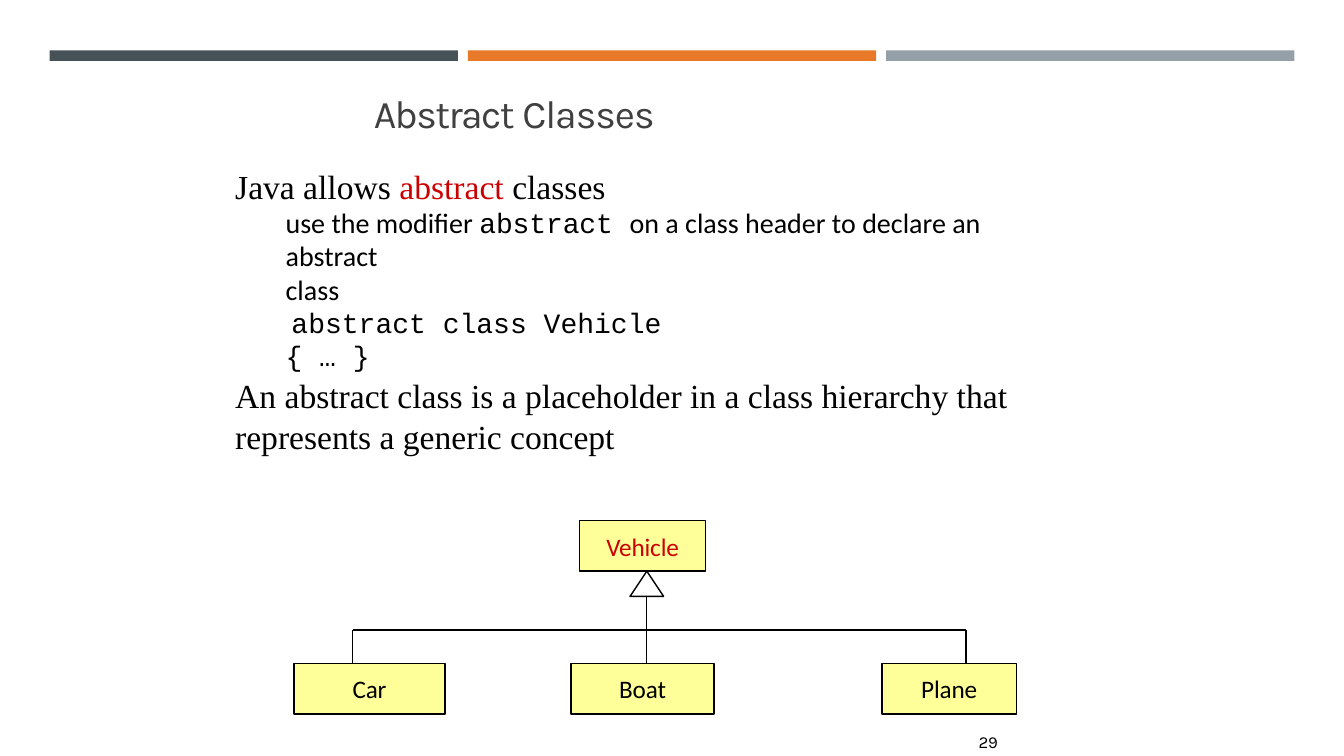
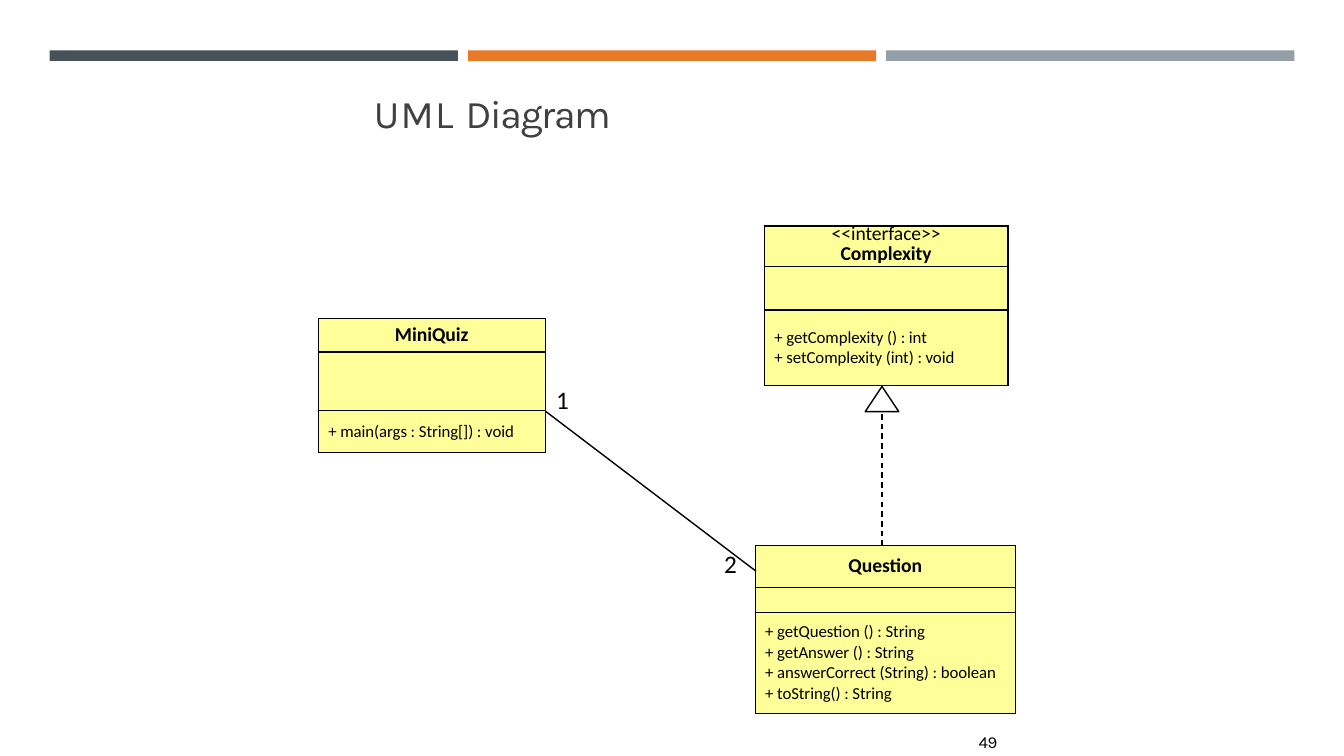
import dataclasses

import lxml.etree
import pptx
import pptx.dml.color
import pptx.enum.dml
import pptx.enum.shapes
import pptx.enum.text
import pptx.oxml.ns
import pptx.util


@dataclasses.dataclass(frozen=True)
class Theme:
    ink: str = "000000"
    accent: str = "CC0000"
    paper: str = "FFFFFF"
    node: str = "FFFF99"
    heading: str = "404040"
    bands: tuple = ("465257", "E77929", "949FA7")
    title_size: int = 28
    lead_size: int = 24
    detail_size: int = 20
    label_size: int = 18
    name_size: int = 14
    small_size: int = 12
    line_width: int = 1


theme = Theme()
qn = pptx.oxml.ns.qn
rgb = pptx.dml.color.RGBColor.from_string
points = pptx.util.Pt
shapes_enum = pptx.enum.shapes
align = pptx.enum.text.PP_ALIGN
anchor = pptx.enum.text.MSO_ANCHOR

deck = pptx.Presentation()
deck.slide_width = pptx.util.Inches(13.333)
deck.slide_height = pptx.util.Inches(7.5)
columns, rows = 160, 90


def grid(left, top, width, height):
    column = deck.slide_width / columns
    row = deck.slide_height / rows
    return [round(n) for n in (left * column, top * row, width * column, height * row)]


def add_runs(para, runs, font, size):
    for text, *style in runs:
        color, spacing, bold, face = (*style, *(theme.ink, 0, False, font)[len(style):])
        span = para.add_run()
        span.text = text
        span.font.name = face
        span.font.size = points(size)
        span.font.bold = bold
        span.font.color.rgb = rgb(color)
        if spacing:
            span._r.get_or_add_rPr().set("spc", str(round(spacing * 100)))


master = deck.slide_master
title_area = master.placeholders[0]
title_area.left, title_area.top, title_area.width, title_area.height = grid(5.4, 8.2, 140, 11.5)
frame = title_area.text_frame
frame.auto_size = pptx.enum.text.MSO_AUTO_SIZE.NONE
frame.vertical_anchor = anchor.TOP
frame.margin_left, frame.margin_top, frame.margin_right, frame.margin_bottom = grid(39.1, 2.4, 0, 0)

classes_slide = deck.slides.add_slide(deck.slide_layouts[1])
uml_slide = deck.slides.add_slide(deck.slide_layouts[5])

for index, color in enumerate(theme.bands):
    band = classes_slide.shapes.add_shape(
        shapes_enum.MSO_SHAPE.RECTANGLE, *grid(5.9 + index * 49.8, 6, 48.6, 1.25))
    band.shadow.inherit = False
    band.fill.solid()
    band.fill.fore_color.rgb = rgb(color)
    band.line.fill.background()
    master.shapes.element.append(band.element)

titles = [
    (classes_slide, [("Abstract ", theme.heading, -1.1), ("Classes", theme.heading, -0.7)]),
    (uml_slide, [("UML ", theme.heading, 1), ("Diagram", theme.heading, -1)]),
]
for slide, runs in titles:
    para = slide.shapes.title.text_frame.paragraphs[0]
    para.alignment = align.LEFT
    add_runs(para, runs, "Karla", theme.title_size)

body = classes_slide.placeholders[1]
body.left, body.top, body.width, body.height = grid(27.9, 19.9, 95, 30.7)
frame = body.text_frame
frame.auto_size = pptx.enum.text.MSO_AUTO_SIZE.NONE
frame.margin_left = frame.margin_top = frame.margin_right = frame.margin_bottom = 0
lead = ("Times New Roman", theme.lead_size)
detail = ("Calibri", theme.detail_size)
code = ("Courier New", theme.detail_size)
body_lines = [
    (lead, 0.1, 28.1, 0, [("Java allows ",), ("abstract ", theme.accent), ("classes",)]),
    (detail, 6.1, 23.4, 0, [
        ("use the modifier ",),
        ("abstract ", theme.ink, -0.1, False, "Courier New"),
        ("on a class header to declare an abstract",),
    ]),
    (detail, 6.1, 23.6, 0.8, [("class",)]),
    (code, 6.8, 23.4, 0, [("abstract class Vehicle",)]),
    (code, 6.1, 23.9, 0, [("{ … }",)]),
    (lead, 0.1, 29.2, 1.6, [
        ("An abstract class is a placeholder in a class hierarchy that represents a generic concept",),
    ]),
]
for index, (style, indent, leading, before, runs) in enumerate(body_lines):
    para = frame.add_paragraph() if index else frame.paragraphs[0]
    properties = para._p.get_or_add_pPr()
    properties.set("marL", str(grid(indent, 0, 0, 0)[0]))
    properties.set("indent", "0")
    lxml.etree.SubElement(properties, qn("a:buNone"))
    para.line_spacing = points(leading)
    para.space_before = points(before)
    add_runs(para, runs, *style)

vehicle_boxes = [
    ("Vehicle", theme.accent, 69, 62, 15),
    ("Car", theme.ink, 35, 79, 18),
    ("Boat", theme.ink, 68, 79, 17),
    ("Plane", theme.ink, 105, 79, 16),
]
for name, color, left, top, width in vehicle_boxes:
    box = classes_slide.shapes.add_shape(
        shapes_enum.MSO_SHAPE.RECTANGLE, *grid(left, top, width, 6))
    box.shadow.inherit = False
    box.fill.solid()
    box.fill.fore_color.rgb = rgb(theme.node)
    box.line.color.rgb = rgb(theme.ink)
    box.line.width = points(theme.line_width)
    box.text_frame.vertical_anchor = anchor.MIDDLE
    para = box.text_frame.paragraphs[0]
    para.alignment = align.CENTER
    add_runs(para, [(name, color, -0.1)], "Calibri", theme.label_size)

uml_classes = [
    (91, 26.9, 29, (4.8, 5.2, 9), [("<<interface>>", False), ("Complexity", True)],
     ["+ getComplexity () : int", "+ setComplexity (int) : void"]),
    (89.9, 64.9, 31, (5, 3, 12), [("Question", True)],
     ["+ getQuestion () : String", "+ getAnswer () : String",
      "+ answerCorrect (String) : boolean", "+ toString() : String"]),
    (37.9, 37.9, 27, (4, 7, 5), [("MiniQuiz", True)],
     ["+ main(args : String[]) : void"]),
]
for left, top, width, heights, names, members in uml_classes:
    table = uml_slide.shapes.add_table(3, 1, *grid(left, top, width, sum(heights))).table
    table.first_row = table.horz_banding = False
    sections = [
        (names, theme.name_size, align.CENTER),
        ([], theme.small_size, align.LEFT),
        ([(member, False) for member in members], theme.small_size, align.LEFT),
    ]
    for index, (lines, size, alignment) in enumerate(sections):
        table.rows[index].height = grid(0, 0, 0, heights[index])[3]
        cell = table.cell(index, 0)
        cell.margin_top = cell.margin_bottom = cell.margin_right = 0
        cell.margin_left = grid(1.2, 0, 0, 0)[0] if alignment == align.LEFT else 0
        cell.vertical_anchor = anchor.MIDDLE
        for side in ("lnL", "lnR", "lnT", "lnB"):
            border = lxml.etree.SubElement(
                cell._tc.get_or_add_tcPr(), qn("a:" + side), w=str(points(theme.line_width)))
            fill = lxml.etree.SubElement(border, qn("a:solidFill"))
            lxml.etree.SubElement(fill, qn("a:srgbClr"), val=theme.ink)
        cell.fill.solid()
        cell.fill.fore_color.rgb = rgb(theme.node)
        if not lines:
            lxml.etree.SubElement(
                cell.text_frame.paragraphs[0]._p, qn("a:endParaRPr"), sz=str(size * 100))
        for number, (text, bold) in enumerate(lines):
            para = cell.text_frame.add_paragraph() if number else cell.text_frame.paragraphs[0]
            para.alignment = alignment
            if len(names) > 1 and lines is names:
                para.line_spacing = points(13.8)
            add_runs(para, [(text, theme.ink, -0.05, bold)], "Calibri", size)

lines = [
    (classes_slide, 42, 75, 115, 75, False),
    (classes_slide, 42, 75, 42, 79, False),
    (classes_slide, 77, 68, 77, 79, False),
    (classes_slide, 115, 75, 115, 79, False),
    (uml_slide, 65, 49, 90, 68, False),
    (uml_slide, 105, 65, 105, 46, True),
]
for slide, *ends, dashed in lines:
    line = slide.shapes.add_connector(shapes_enum.MSO_CONNECTOR.STRAIGHT, *grid(*ends))
    line.line.color.rgb = rgb(theme.ink)
    line.line.width = points(theme.line_width)
    if dashed:
        line.line.dash_style = pptx.enum.dml.MSO_LINE.DASH
    lxml.etree.SubElement(line.element.spPr, qn("a:effectLst"))

for slide, left, top in [(classes_slide, 75, 68), (uml_slide, 103, 46)]:
    arrowhead = slide.shapes.add_shape(
        shapes_enum.MSO_SHAPE.ISOSCELES_TRIANGLE, *grid(left, top, 4, 3))
    arrowhead.shadow.inherit = False
    arrowhead.fill.solid()
    arrowhead.fill.fore_color.rgb = rgb(theme.paper)
    arrowhead.line.color.rgb = rgb(theme.ink)
    arrowhead.line.width = points(theme.line_width)

labels = [
    (classes_slide, "29", 116.5, 87.1, "Karla", theme.small_size),
    (uml_slide, "49", 116.5, 87.1, "Karla", theme.small_size),
    (uml_slide, "1", 66.2, 45.8, "Calibri", theme.label_size),
    (uml_slide, "2", 86.2, 65.3, "Calibri", theme.label_size),
]
for slide, text, left, top, font, size in labels:
    box = slide.shapes.add_textbox(*grid(left, top, 3, 2.8))
    frame = box.text_frame
    frame.word_wrap = True
    frame.margin_left = frame.margin_top = frame.margin_right = frame.margin_bottom = 0
    add_runs(frame.paragraphs[0], [(text, theme.ink, -0.2)], font, size)

deck.save("out.pptx")
